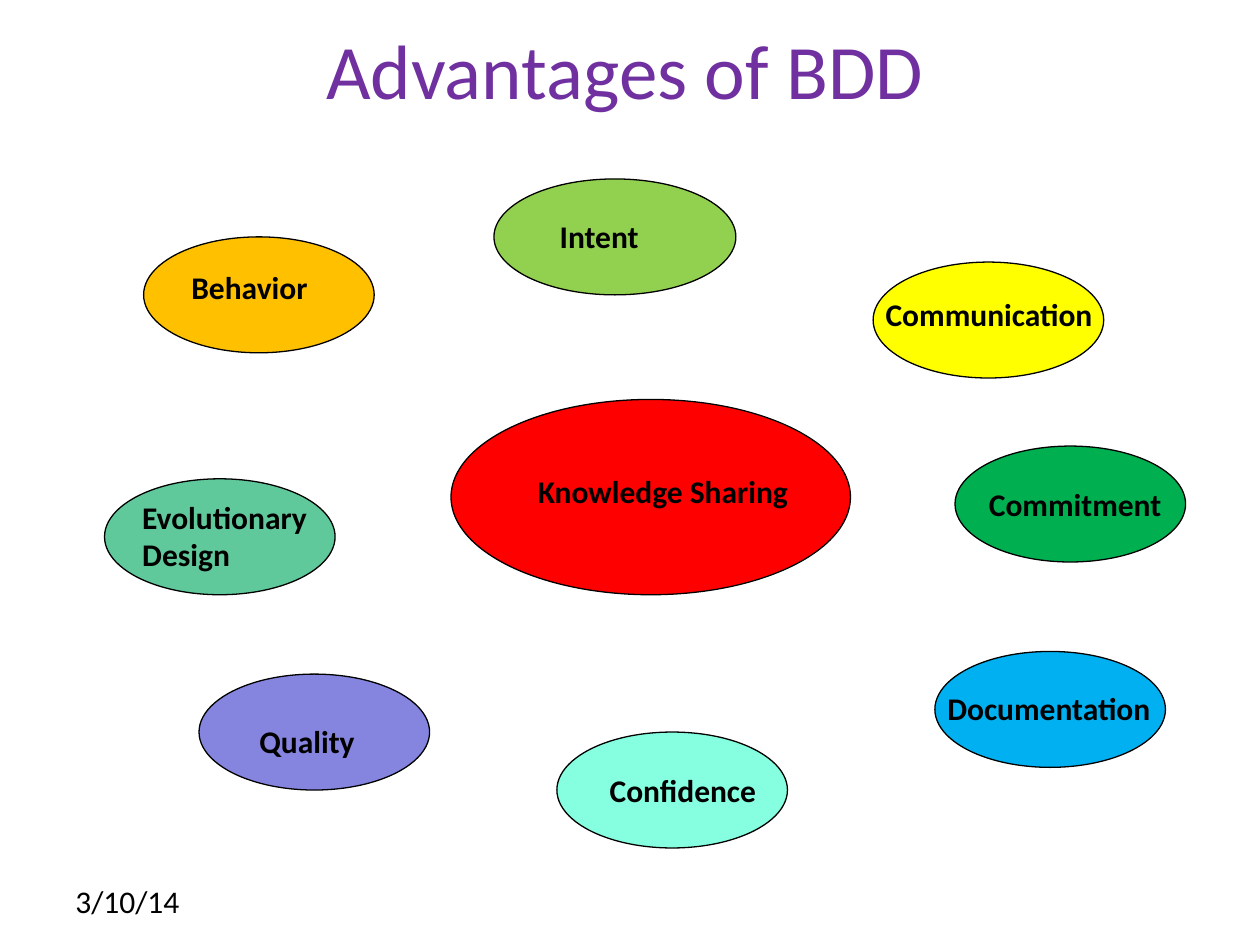
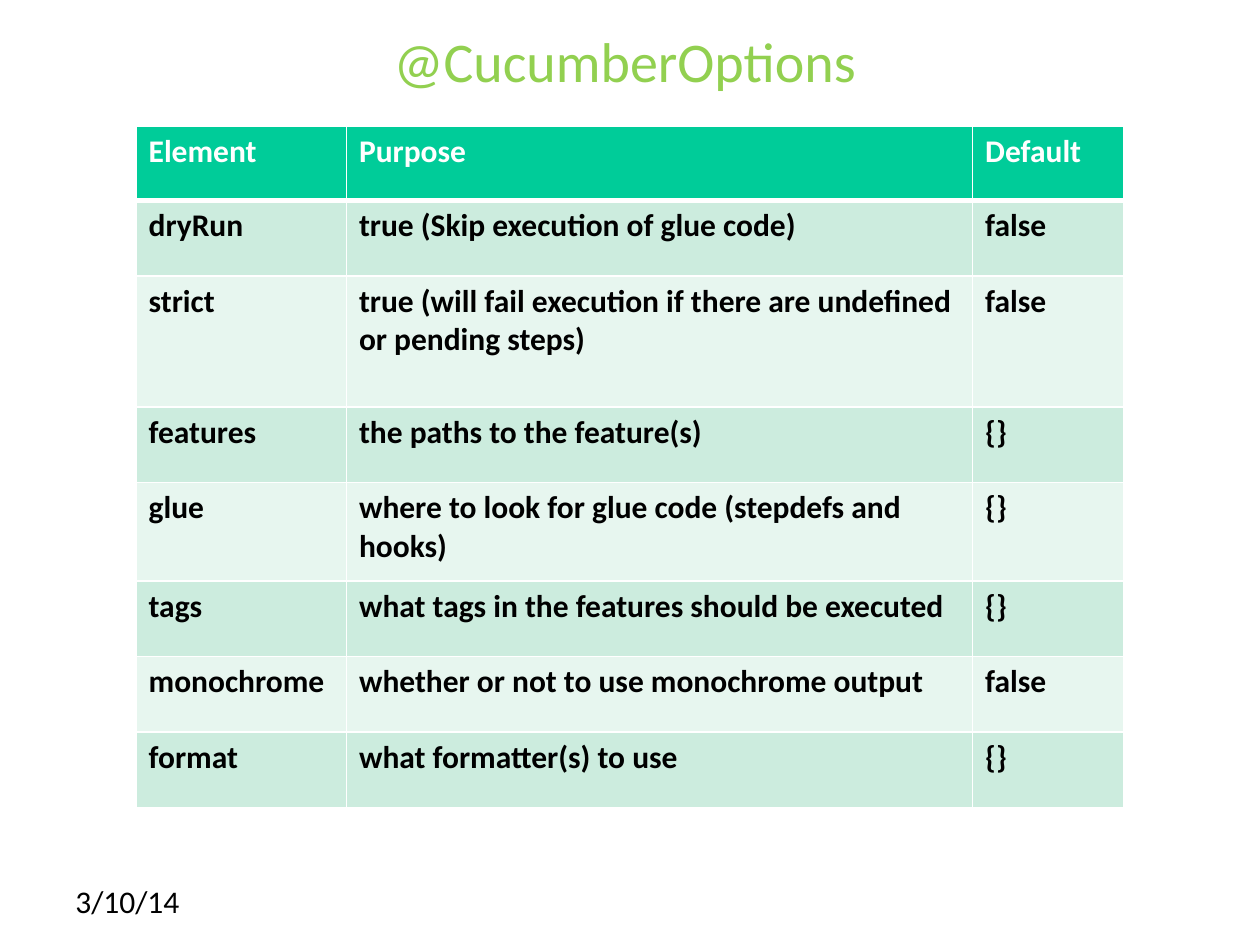
from lxml.etree import SubElement
from pptx import Presentation
from pptx.dml.color import RGBColor
from pptx.enum.shapes import MSO_SHAPE
from pptx.enum.text import MSO_ANCHOR, PP_ALIGN
from pptx.oxml.ns import qn
from pptx.util import Inches, Pt

FONT = "Calibri"
BLACK = RGBColor(0x00, 0x00, 0x00)
WHITE = RGBColor(0xFF, 0xFF, 0xFF)
PURPLE = RGBColor(0x70, 0x30, 0xA0)
LIME = RGBColor(0x92, 0xD0, 0x50)
YELLOW = RGBColor(0xFF, 0xFF, 0x00)
GREEN = RGBColor(0x00, 0xB0, 0x50)
ORANGE = RGBColor(0xFF, 0xC0, 0x00)
SAGE = RGBColor(0x60, 0xC9, 0x9C)
SKY = RGBColor(0x00, 0xB0, 0xF0)
AQUA = RGBColor(0x85, 0xFF, 0xE0)
LAVENDER = RGBColor(0x85, 0x85, 0xE0)
RED = RGBColor(0xFF, 0x00, 0x00)
HEADER = RGBColor(0x00, 0xCC, 0x99)
BANDS = [RGBColor(0xCC, 0xEC, 0xDE), RGBColor(0xE7, 0xF6, 0xEF)]

DATE = "3/10/14"
BODY_SIZE = 18
LEFT, CENTER = PP_ALIGN.LEFT, PP_ALIGN.CENTER
OVAL = (1.83, 0.92)

ADVANTAGES = [
    ("Intent", LIME, (3.92, 1.42), (1.92, 0.92), (4.17, 1.67, 1.17, 0.42), CENTER),
    ("Communication", YELLOW, (6.93, 2.08), OVAL, (6.93, 2.29, 1.98, 0.4), LEFT),
    ("Commitment", GREEN, (7.58, 3.54), OVAL, (7.75, 3.8, 2, 0.4), LEFT),
    ("Behavior", ORANGE, (1.14, 1.88), OVAL, (1.42, 2.08, 1.25, 0.4), LEFT),
    ("Evolutionary Design", SAGE, (0.83, 3.8), OVAL, (1.03, 3.9, 1.52, 0.71), LEFT),
    ("Documentation", SKY, (7.42, 5.17), OVAL, (7.42, 5.42, 2.17, 0.4), LEFT),
    ("Confidence", AQUA, (4.42, 5.81), OVAL, (4.71, 6.07, 1.42, 0.4), CENTER),
    ("Quality", LAVENDER, (1.58, 5.35), OVAL, (1.96, 5.68, 1.42, 0.4), LEFT),
    ("Knowledge Sharing", RED, (3.58, 3.17), (3.17, 1.55), (4.17, 3.7, 2.21, 0.4), LEFT),
]

OPTIONS = [
    ("Element", "Purpose", "Default"),
    ("dryRun", "true (Skip execution of glue code)", "false"),
    ("strict", "true (will fail execution if there are undefined or pending steps)", "false"),
    ("features", "the paths to the feature(s)", "{}"),
    ("glue", "where to look for glue code (stepdefs and hooks)", "{}"),
    ("tags", "what tags in the features should be executed", "{}"),
    ("monochrome", "whether or not to use monochrome output", "false"),
    ("format", "what formatter(s) to use", "{}"),
]
COL_WIDTHS = [1.67, 4.97, 1.2]
ROW_HEIGHTS = [0.59, 0.6, 1.04, 0.6, 0.78, 0.6, 0.6, 0.6]


def style_text(tf, size, color, bold=False, align=LEFT):
    for p in tf.paragraphs:
        p.alignment = align
        for r in p.runs:
            r.font.name = FONT
            r.font.size = Pt(size)
            r.font.bold = bold
            r.font.color.rgb = color


def add_text(slide, text, box, size=BODY_SIZE, color=BLACK, bold=False, align=LEFT):
    tf = slide.shapes.add_textbox(*map(Inches, box)).text_frame
    tf.word_wrap = True
    tf.text = text
    style_text(tf, size, color, bold, align)
    return tf


def add_slide(prs, title, height, size, color):
    slide = prs.slides.add_slide(prs.slide_layouts[6])
    add_text(slide, DATE, (0.5, 6.95, 2.33, 0.4))
    tf = add_text(slide, title, (0.92, 0.17, 8.08, height), size, color, align=CENTER)
    tf.vertical_anchor = MSO_ANCHOR.MIDDLE
    tf.paragraphs[0].line_spacing = 0.93
    return slide


def add_oval(slide, color, pos, size):
    sp = slide.shapes.add_shape(MSO_SHAPE.OVAL, *map(Inches, pos + size))
    sp.shadow.inherit = False
    sp.fill.solid()
    sp.fill.fore_color.rgb = color
    sp.line.color.rgb = BLACK
    sp.line.width = Pt(0.75)


def set_border(cell, side, width):
    ln = SubElement(cell._tc.get_or_add_tcPr(), qn(f"a:ln{side}"), w=str(Pt(width)))
    fill = SubElement(ln, qn("a:solidFill"))
    SubElement(fill, qn("a:srgbClr"), val=str(WHITE))


def add_options_table(slide):
    frame = slide.shapes.add_table(
        len(OPTIONS), len(COL_WIDTHS), Inches(1.08), Inches(1),
        Inches(sum(COL_WIDTHS)), Inches(sum(ROW_HEIGHTS)))
    table = frame.table
    for col, width in zip(table.columns, COL_WIDTHS):
        col.width = Inches(width)
    for i, (row, height, texts) in enumerate(zip(table.rows, ROW_HEIGHTS, OPTIONS)):
        row.height = Inches(height)
        is_header = i == 0
        for cell, text in zip(row.cells, texts):
            cell.text = text
            style_text(cell.text_frame, BODY_SIZE, WHITE if is_header else BLACK, bold=True)
            for side in "LRTB":
                thick = (is_header and side == "B") or (i == 1 and side == "T")
                set_border(cell, side, 3 if thick else 1)
            cell.fill.solid()
            cell.fill.fore_color.rgb = HEADER if is_header else BANDS[(i - 1) % 2]


def main():
    prs = Presentation()
    prs.slide_width, prs.slide_height = Inches(10), Inches(7.5)

    advantages = add_slide(prs, "Advantages of BDD", 0.83, 44, PURPLE)
    for text, color, pos, size, label_box, align in ADVANTAGES:
        add_oval(advantages, color, pos, size)
        add_text(advantages, text, label_box, bold=True, align=align)

    options = add_slide(prs, "@CucumberOptions", 0.67, 32, LIME)
    add_options_table(options)

    prs.save("out.pptx")


if __name__ == "__main__":
    main()
